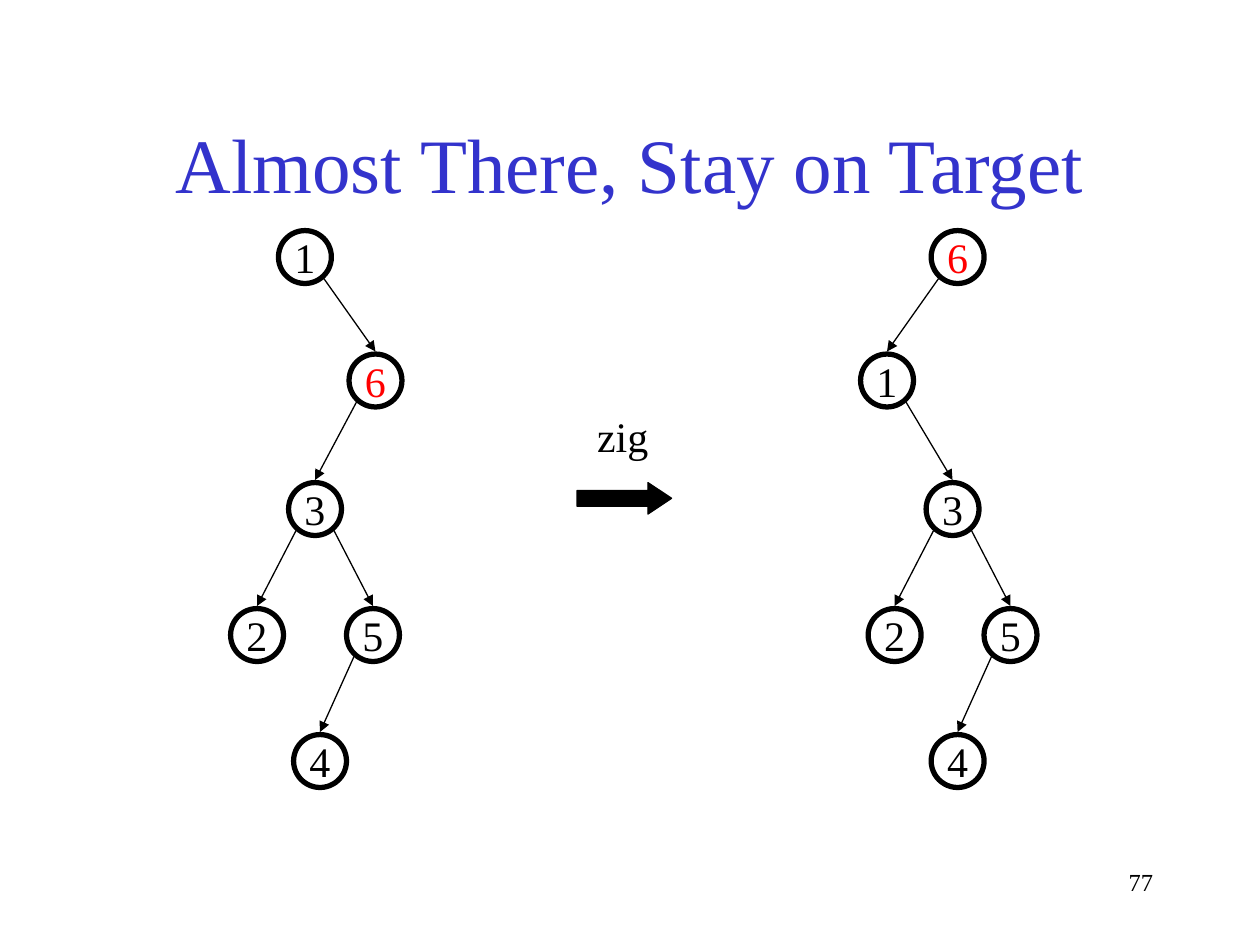
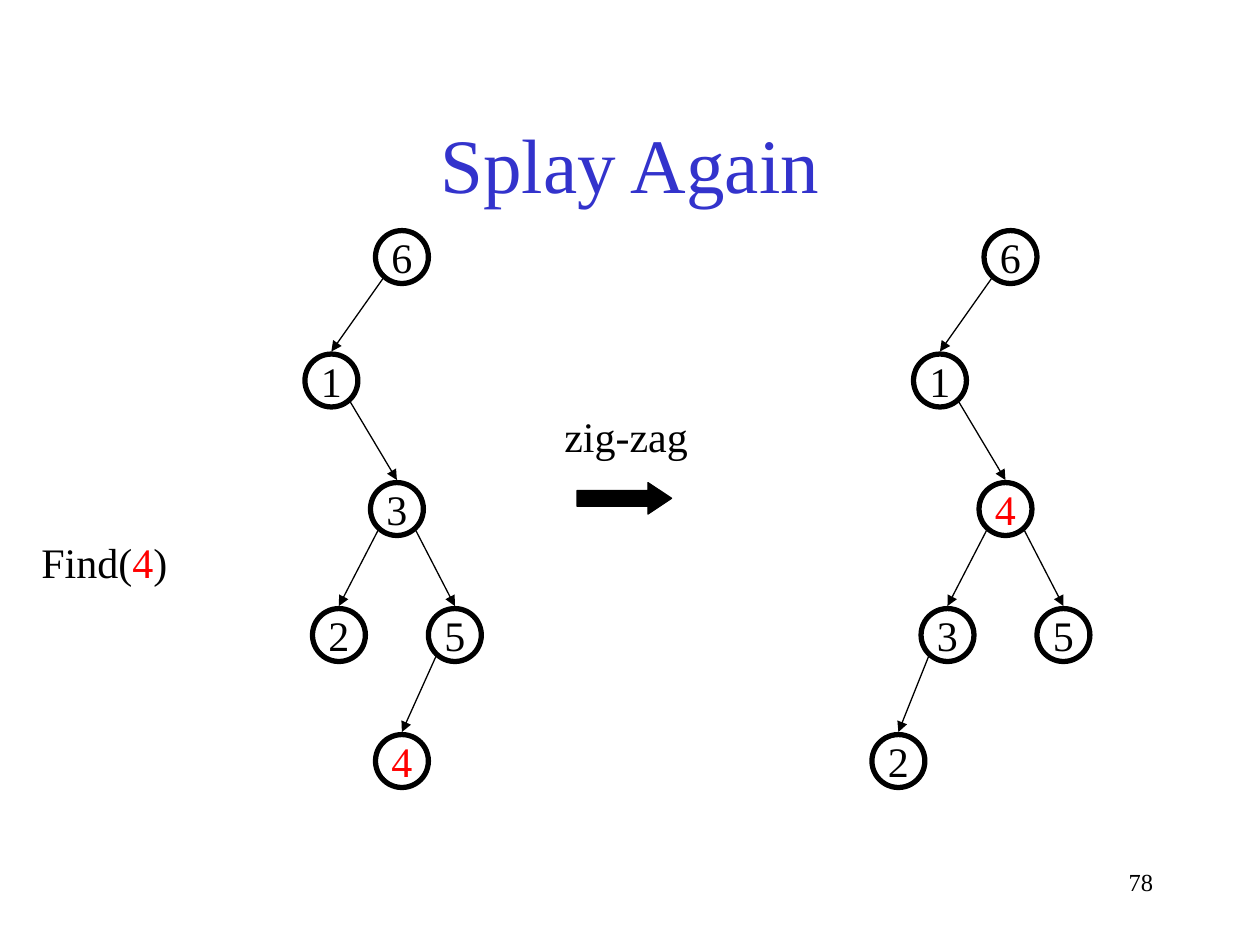
from dataclasses import dataclass

from lxml.etree import SubElement
from pptx import Presentation
from pptx.dml.color import RGBColor
from pptx.enum.shapes import MSO_CONNECTOR, MSO_SHAPE
from pptx.enum.text import MSO_ANCHOR, MSO_AUTO_SIZE, PP_ALIGN
from pptx.oxml.ns import qn
from pptx.util import Inches, Pt


@dataclass(frozen=True)
class Theme:
    font: str = "Times New Roman"
    title: RGBColor = RGBColor(0x33, 0x33, 0xCC)
    ink: RGBColor = RGBColor(0, 0, 0)
    focus: RGBColor = RGBColor(0xFF, 0, 0)
    title_size: int = 44
    text_size: int = 24
    number_size: int = 14
    node_line: float = 3
    thin_line: float = 0.75


THEME = Theme()

# Content: each tree lists (key, parent key, step right of the parent)
UNSPLAYED = [("1", None, 0), ("6", "1", 0.56), ("3", "6", -0.48),
             ("2", "3", -0.46), ("5", "3", 0.46), ("4", "5", -0.42)]
SIX_ON_TOP = [("6", None, 0), ("1", "6", -0.56), ("3", "1", 0.52),
              ("2", "3", -0.46), ("5", "3", 0.46), ("4", "5", -0.42)]
FOUR_RAISED = [("6", None, 0), ("1", "6", -0.56), ("4", "1", 0.52),
               ("3", "4", -0.46), ("5", "4", 0.46), ("2", "3", -0.39)]

# Trees are paired with the left edge of their root; labels are (text, left, top, width)
SLIDES = [
    dict(title="Almost There, Stay on Target", number="77", focus="6",
         trees=[(UNSPLAYED, 2.21), (SIX_ON_TOP, 7.39)],
         labels=[("zig", 4.64, 3.21, 0.65)]),
    dict(title="Splay Again", number="78", focus="4",
         trees=[(SIX_ON_TOP, 2.98), (FOUR_RAISED, 7.81)],
         labels=[("Find(4)", 0.23, 4.21, 1.25), ("zig-zag", 4.38, 3.21, 1.25)]),
]

# Tree geometry in inches
LEVEL_TOPS = [1.83, 2.81, 3.83, 4.83, 5.83]
NODE = 0.42
EDGE_DX, EDGE_DY = 0.15, 0.38  # where an edge leaves its parent
EDGE_GAP = 0.02                # space above the child


def box(left, top, width, height):
    return [Inches(v) for v in (left, top, width, height)]


def style(p, size, color=THEME.ink, align=PP_ALIGN.LEFT):
    p.alignment = align
    p.font.name, p.font.size = THEME.font, Pt(size)
    p.font.color.rgb = color


def add_title(s, text):
    sp = s.shapes.title
    sp.left, sp.top, sp.width, sp.height = box(0.75, 0.67, 8.5, 1.25)
    tf = sp.text_frame
    tf.text, tf.vertical_anchor = text, MSO_ANCHOR.MIDDLE
    style(tf.paragraphs[0], THEME.title_size, THEME.title, PP_ALIGN.CENTER)


def add_number(s, number):
    tf = s.shapes.add_textbox(*box(7.17, 6.83, 2.08, 0.5)).text_frame
    tf.text, tf.word_wrap = number, True
    style(tf.paragraphs[0], THEME.number_size, align=PP_ALIGN.RIGHT)


def add_label(s, text, left, top, width, focus):
    tf = s.shapes.add_textbox(*box(left, top, width, 0.5)).text_frame
    tf.word_wrap, tf.auto_size = True, MSO_AUTO_SIZE.NONE
    p = tf.paragraphs[0]
    style(p, THEME.text_size)
    for part in filter(None, text.partition(focus)):
        r = p.add_run()
        r.text = part
        r.font.color.rgb = THEME.focus if part == focus else THEME.ink


def add_block_arrow(s):
    sp = s.shapes.add_shape(MSO_SHAPE.RIGHT_ARROW, *box(4.58, 3.83, 0.75, 0.25))
    sp.adjustments[0], sp.adjustments[1] = 0.5, 0.75
    sp.shadow.inherit = False
    sp.fill.solid()
    sp.fill.fore_color.rgb = sp.line.color.rgb = THEME.ink
    sp.line.width = Pt(THEME.thin_line)


def add_edge(s, x1, y1, x2, y2):
    line = s.shapes.add_connector(MSO_CONNECTOR.STRAIGHT, *box(x1, y1, x2, y2))
    line.line.color.rgb = THEME.ink
    line.line.width = Pt(THEME.thin_line)
    ln = line._element.spPr.find(qn("a:ln"))
    SubElement(ln, qn("a:tailEnd"), type="triangle")
    SubElement(line._element.spPr, qn("a:effectLst"))


def add_node(s, key, left, top, focus):
    sp = s.shapes.add_shape(MSO_SHAPE.OVAL, *box(left, top, NODE, NODE))
    sp.shadow.inherit = False
    sp.fill.background()
    sp.line.color.rgb, sp.line.width = THEME.ink, Pt(THEME.node_line)
    tf = sp.text_frame
    tf.text, tf.word_wrap, tf.vertical_anchor = key, False, MSO_ANCHOR.MIDDLE
    color = THEME.focus if key == focus else THEME.ink
    style(tf.paragraphs[0], THEME.text_size, color, PP_ALIGN.CENTER)


def add_tree(s, tree, root_left, focus):
    placed = {}  # key -> (left, level)
    for key, parent, step in tree:
        left, level = root_left, 0
        if parent:
            parent_left, parent_level = placed[parent]
            left, level = parent_left + step, parent_level + 1
            side = EDGE_DX if step > 0 else -EDGE_DX
            add_edge(s, parent_left + NODE / 2 + side, LEVEL_TOPS[parent_level] + EDGE_DY,
                     left + NODE / 2, LEVEL_TOPS[level] - EDGE_GAP)
        placed[key] = left, level
        add_node(s, key, left, LEVEL_TOPS[level], focus)


def main():
    prs = Presentation()
    prs.slide_width, prs.slide_height = Inches(10), Inches(7.5)
    for content in SLIDES:
        s = prs.slides.add_slide(prs.slide_layouts.get_by_name("Title Only"))
        add_title(s, content["title"])
        add_number(s, content["number"])
        add_block_arrow(s)
        for label in content["labels"]:
            add_label(s, *label, content["focus"])
        for tree, root_left in content["trees"]:
            add_tree(s, tree, root_left, content["focus"])
    prs.save("out.pptx")


if __name__ == "__main__":
    main()
